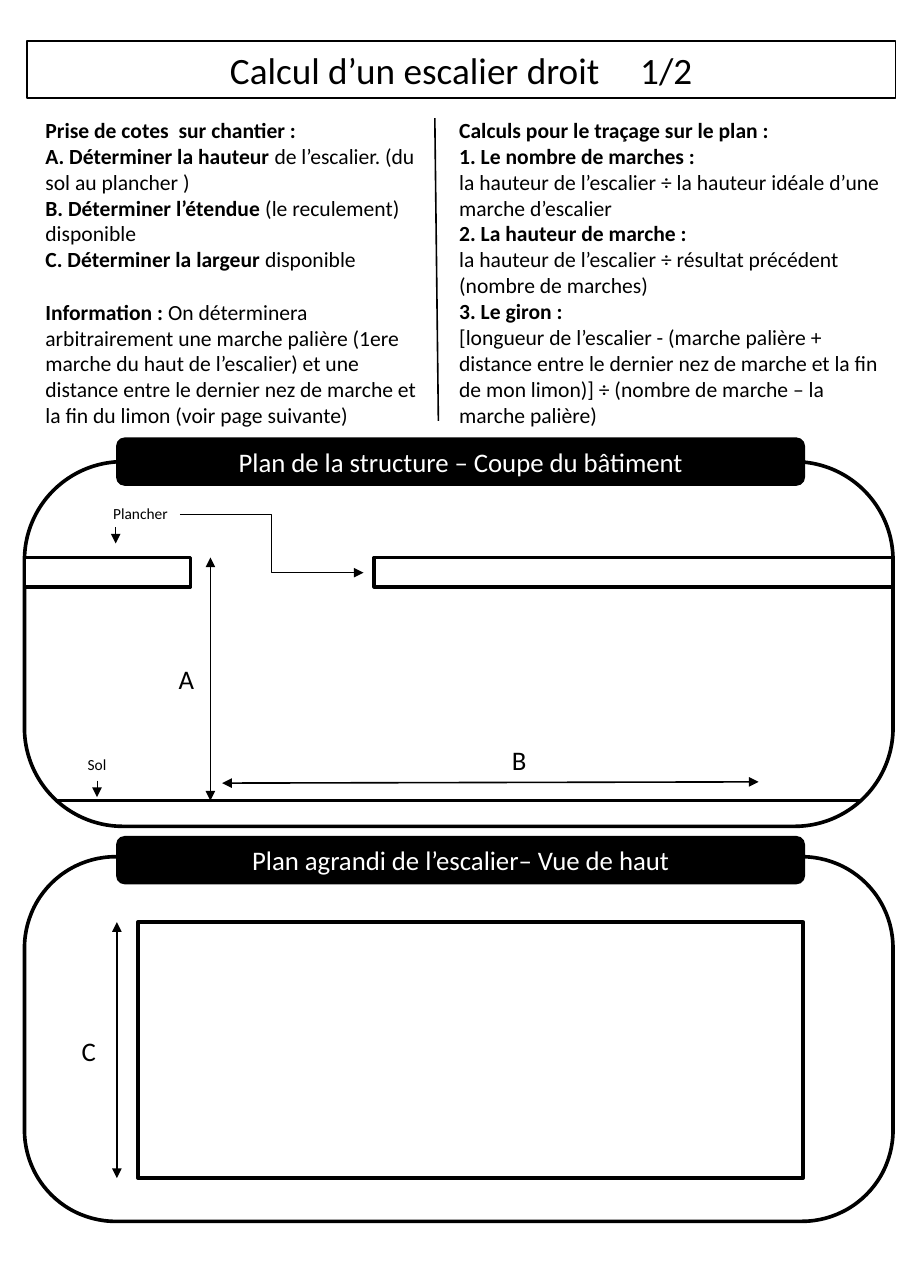
from lxml.etree import SubElement
from pptx import Presentation
from pptx.dml.color import RGBColor
from pptx.enum.shapes import MSO_CONNECTOR, MSO_SHAPE
from pptx.enum.text import MSO_ANCHOR, MSO_AUTO_SIZE, PP_ALIGN
from pptx.oxml.ns import qn
from pptx.util import Pt

PX = 9144  # 100 px to the inch
BLACK = RGBColor(0, 0, 0)
WHITE = RGBColor(255, 255, 255)
FONT = "Calibri"
BODY, HEADING, TITLE, SMALL = 13.3, 16.5, 22.9, 9.5
THICK, THIN, HAIR = 2.25, 1, 0.5
LINE_GAP = 16.2  # one line of body text, in points

SURVEY = [
    [("Prise de cotes  sur chantier :", True)],
    [("A. Déterminer la hauteur ", True), ("de l’escalier. (du sol au plancher )", False)],
    [("B. Déterminer l’étendue ", True), ("(le reculement) disponible", False)],
    [("C. Déterminer la largeur ", True), ("disponible", False)],
    [("Information : ", True),
     ("On déterminera arbitrairement une marche palière (1ere marche du haut de "
      "l’escalier) et une distance entre le dernier nez de marche et la fin du "
      "limon (voir page suivante)", False)],
]
FORMULAS = [
    [("Calculs pour le traçage sur le plan :", True)],
    [("1. Le nombre de marches :", True)],
    [("la hauteur de l’escalier ÷ la hauteur idéale d’une marche d’escalier", False)],
    [("2. La hauteur de marche :", True)],
    [("la hauteur de l’escalier ÷ résultat précédent (nombre de marches)", False)],
    [("3. Le giron :", True)],
    [("[longueur de l’escalier - (marche palière + distance entre le dernier nez de "
      "marche et la fin de mon limon)] ÷ (nombre de marche – la marche palière)", False)],
]


def px(*lengths):
    return [length * PX for length in lengths]


def write(paragraph, text, size, color=BLACK, bold=False):
    run = paragraph.add_run()
    run.text = text
    run.font.name = FONT
    run.font.size = Pt(size)
    run.font.bold = bold
    run.font.color.rgb = color


def add_box(slide, area, weight, kind=MSO_SHAPE.RECTANGLE, fill=WHITE, radius=None):
    box = slide.shapes.add_shape(kind, *px(*area))
    box.shadow.inherit = False
    box.fill.solid()
    box.fill.fore_color.rgb = fill
    box.line.color.rgb = BLACK
    box.line.width = Pt(weight)
    if radius is not None:
        box.adjustments[0] = radius
    return box


def add_centred_text(box, text, size, color):
    frame = box.text_frame
    frame.word_wrap = True
    frame.vertical_anchor = MSO_ANCHOR.MIDDLE
    paragraph = frame.paragraphs[0]
    paragraph.alignment = PP_ALIGN.CENTER
    write(paragraph, text, size, color)
    return paragraph


def add_banner(slide, top, text):
    banner = add_box(slide, (100, top, 588, 40), THIN, MSO_SHAPE.ROUNDED_RECTANGLE, BLACK)
    add_centred_text(banner, text, HEADING, WHITE)


def add_text_frame(slide, area):
    frame = slide.shapes.add_textbox(*px(*area)).text_frame
    frame.word_wrap = True
    frame.auto_size = MSO_AUTO_SIZE.SHAPE_TO_FIT_TEXT
    return frame


def add_label(slide, area, text, size, alignment=PP_ALIGN.LEFT):
    paragraph = add_text_frame(slide, area).paragraphs[0]
    paragraph.alignment = alignment
    write(paragraph, text, size)


def add_column(slide, area, paragraphs):
    frame = add_text_frame(slide, area)
    for index, runs in enumerate(paragraphs):
        paragraph = frame.add_paragraph() if index else frame.paragraphs[0]
        for text, bold in runs:
            write(paragraph, text, BODY, bold=bold)
    return frame


def add_line(slide, ends, weight, arrows=(), kind=MSO_CONNECTOR.STRAIGHT):
    line = slide.shapes.add_connector(kind, *px(*ends))
    line.line.color.rgb = BLACK
    line.line.width = Pt(weight)
    outline = line.line._get_or_add_ln()
    for end in arrows:
        SubElement(outline, qn(f"a:{end}"), type="triangle")
    SubElement(line._element.spPr, qn("a:effectLst"))


def add_title(slide):
    box = add_box(slide, (23, 35, 743, 49), THIN)
    paragraph = add_centred_text(box, "Calcul d’un escalier droit\t1/2", TITLE, BLACK)
    tabs = SubElement(paragraph._p.get_or_add_pPr(), qn("a:tabLst"))
    SubElement(tabs, qn("a:tab"), pos=str(351 * PX), algn="l")


def main():
    prs = Presentation()
    prs.slide_width, prs.slide_height = px(787, 1102)
    slide = prs.slides.add_slide(prs.slide_layouts[6])
    both, tail = ("headEnd", "tailEnd"), ("tailEnd",)

    # Title and instructions
    add_title(slide)
    survey = add_column(slide, (29, 95, 344, 279), SURVEY)
    survey.paragraphs[-1].space_before = Pt(LINE_GAP)
    add_column(slide, (383, 95, 386, 279), FORMULAS)
    add_line(slide, (372, 101, 375, 360), THIN)

    # Framed plans with their banners
    for top, radius, banner_top, heading in (
        (395, 0.27, 375, "Plan de la structure – Coupe du bâtiment"),
        (733, 0.25, 716, "Plan agrandi de l’escalier– Vue de haut"),
    ):
        add_box(slide, (21, top, 743, 312), THICK, MSO_SHAPE.ROUNDED_RECTANGLE, radius=radius)
        add_banner(slide, banner_top, heading)

    # Building section: upper floor on both sides, ground line
    for left, width in ((21, 142), (320, 444)):
        add_box(slide, (left, 477, width, 25), THICK)
    add_line(slide, (49, 685, 737, 685), THICK)

    # Top view of the staircase
    add_box(slide, (118, 789, 569, 219), THICK)

    # Dimensions A, B and C
    for letter, left, top, ends in (
        ("A", 143, 562, (180, 477, 180, 685)),
        ("B", 428, 631, (190, 670, 649, 669)),
        ("C", 60, 880, (100, 789, 100, 1008)),
    ):
        add_line(slide, ends, THIN if letter != "C" else HAIR * 2, both)
        add_label(slide, (left, top, 37, 38), letter, HEADING)

    # Floor and ground callouts
    add_label(slide, (87, 426, 217, 26), "Plancher", SMALL)
    add_label(slide, (59, 641, 48, 26), "Sol", SMALL, PP_ALIGN.CENTER)
    for x, top in ((99, 451), (83, 668)):
        add_line(slide, (x, top, x, top + 14), HAIR, tail)
    add_line(slide, (154, 440, 311, 490), HAIR, tail, MSO_CONNECTOR.ELBOW)

    prs.save("out.pptx")


if __name__ == "__main__":
    main()
